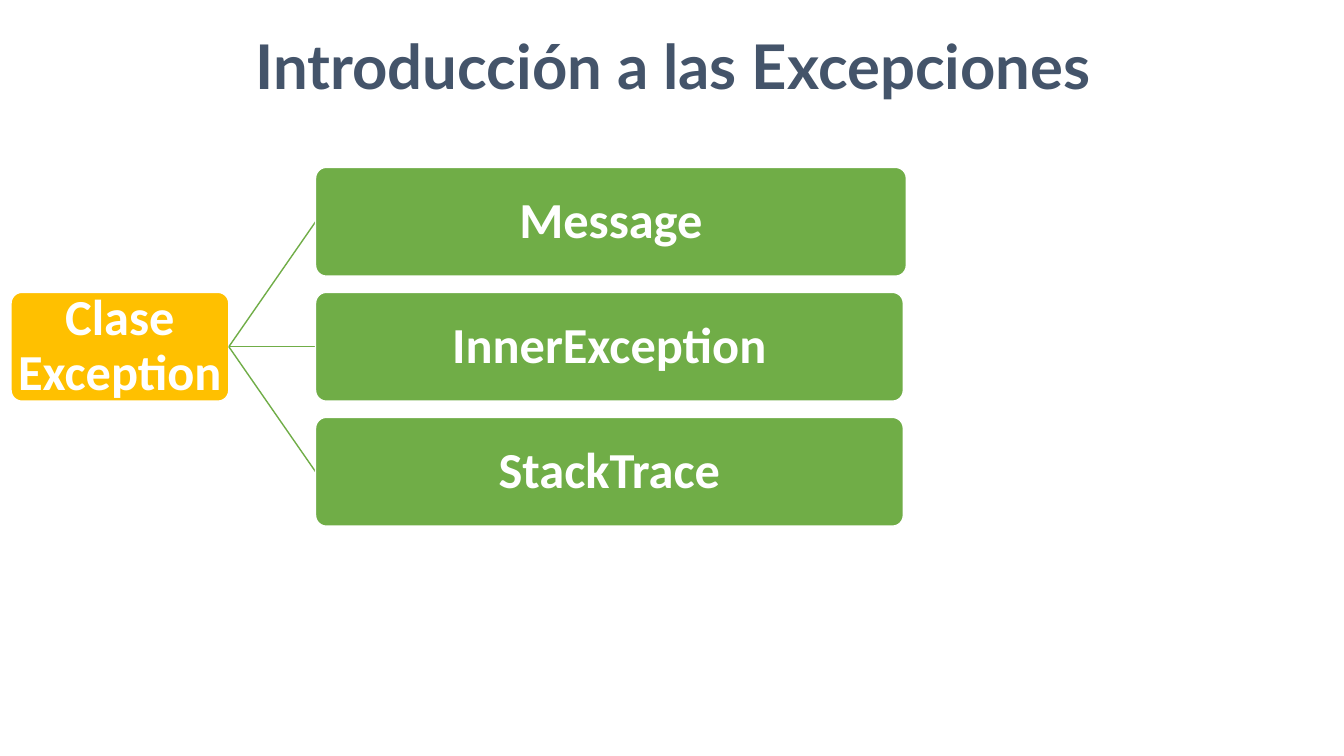
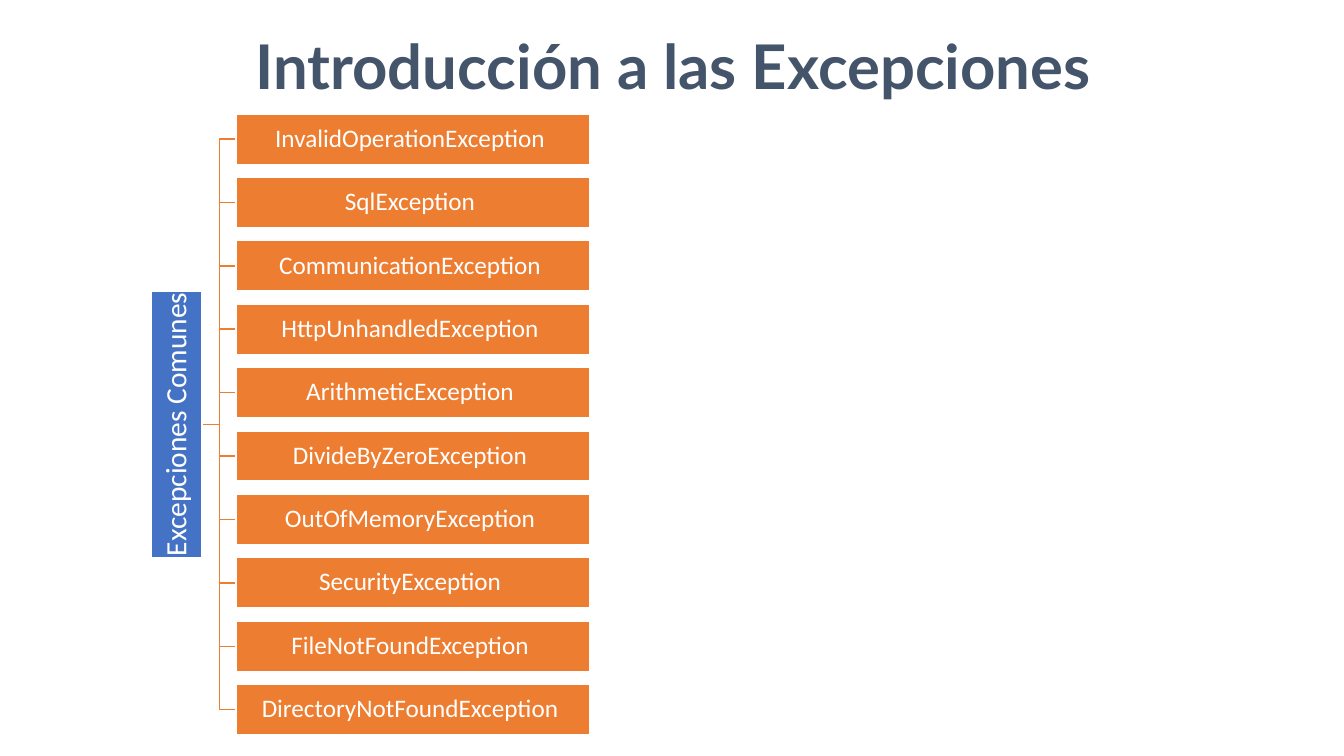
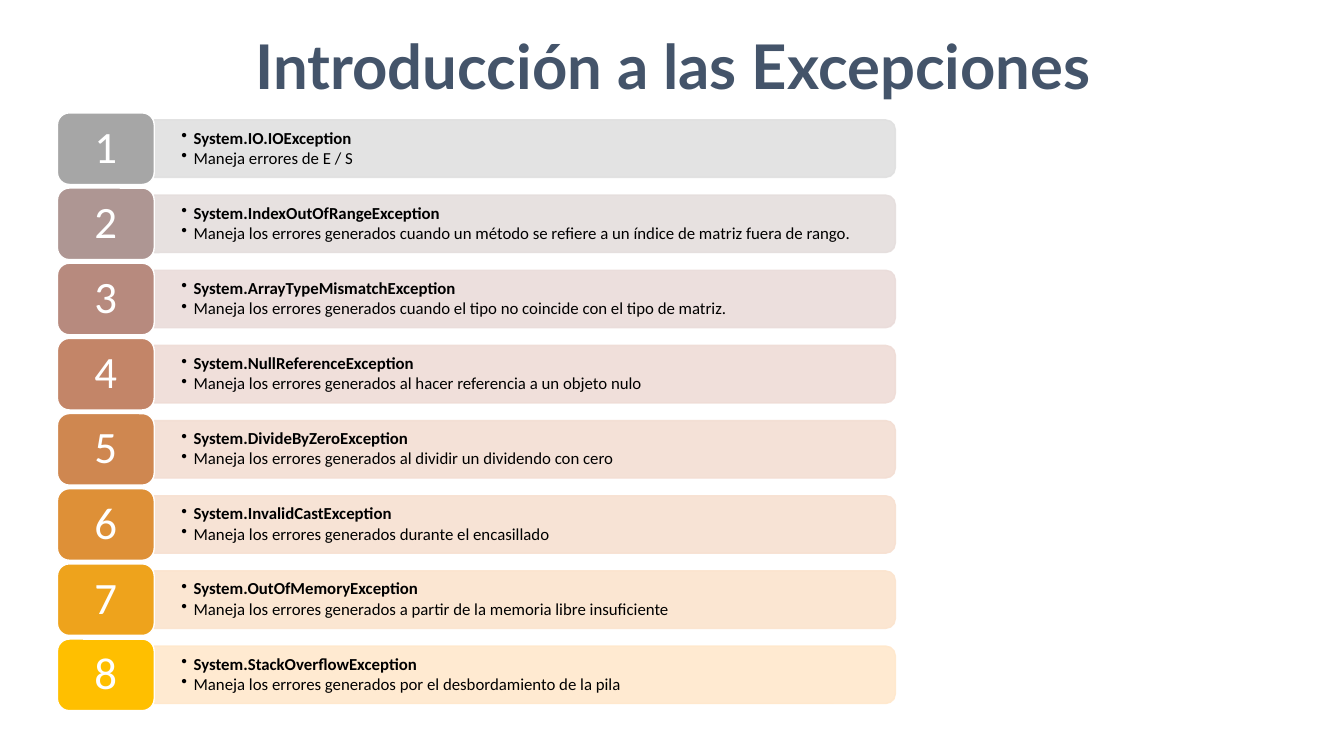
import colorsys

from lxml import etree
from pptx import Presentation
from pptx import util as u
from pptx.dml.color import RGBColor
from pptx.enum import shapes, text
from pptx.oxml import ns

WHITE, NAVY, GOLD, GREEN = "FFFFFF", "44546A", "FFC000", "70AD47"
BLUE, ORANGE, BLACK = "4472C4", "ED7D31", "000000"
BODY_FONT = "Calibri"
SHAPE, LINK = shapes.MSO_SHAPE, shapes.MSO_CONNECTOR


def add_box(slide, kind, place, fill, label="", size=18, bold=False, margin=0.01, edge=WHITE):
    """Filled shape with an optional centred label; place is left, top, width, height."""
    box = slide.shapes.add_shape(kind, *[u.Inches(n) for n in place])
    box.shadow.inherit = False
    box.fill.solid()
    box.fill.fore_color.rgb = RGBColor.from_string(fill)
    box.line.color.rgb = RGBColor.from_string(edge)
    box.line.width = u.Pt(1)
    frame = box.text_frame
    frame.margin_left = frame.margin_right = u.Inches(margin)
    frame.margin_top = frame.margin_bottom = u.Inches(margin)
    frame.vertical_anchor = text.MSO_ANCHOR.MIDDLE
    if label:
        line = frame.paragraphs[0]
        line.text = label
        line.alignment = text.PP_ALIGN.CENTER
        line.line_spacing = 0.9
        line.font.name, line.font.size, line.font.bold = BODY_FONT, u.Pt(size), bold
        line.font.color.rgb = RGBColor.from_string(WHITE)
    return box


def add_link(slide, kind, start, end, colour):
    """Thin line between two (x, y) points."""
    link = slide.shapes.add_connector(kind, *[u.Inches(n) for n in (*start, *end)])
    link.line.color.rgb = RGBColor.from_string(colour)
    link.line.width = u.Pt(1)
    etree.SubElement(link._element.spPr, ns.qn("a:effectLst"))
    return link


prs = Presentation()
prs.slide_width, prs.slide_height = u.Inches(13.33), u.Inches(7.5)

# Shared title: placed on the layout, formatted on each slide
title_only = prs.slide_layouts[5]
heading = title_only.placeholders[0]
heading.left, heading.top = u.Inches(0.13), u.Inches(0.26)
heading.width, heading.height = u.Inches(13.1), u.Inches(0.79)

slides = [prs.slides.add_slide(title_only) for _ in range(3)]
for slide in slides:
    frame = slide.shapes.title.text_frame
    frame.text = "Introducción a las Excepciones"
    frame.margin_left = frame.margin_right = u.Inches(0.05)
    frame.margin_top = frame.margin_bottom = u.Inches(0.02)
    frame.vertical_anchor = text.MSO_ANCHOR.TOP
    frame.auto_size = text.MSO_AUTO_SIZE.NONE
    line = frame.paragraphs[0]
    line.alignment = text.PP_ALIGN.CENTER
    line.font.name, line.font.size, line.font.bold = "Lato", u.Pt(44), True
    line.font.color.rgb = RGBColor.from_string(NAVY)

properties_slide, common_slide, system_slide = slides

# Slide 1: the Exception class and its properties
top, pitch, height, left = 1.66, 1.24, 1.08, 3.13
root_left, root_width = 0.11, 2.16
members = [("Message", 5.86), ("InnerException", 5.83), ("StackTrace", 5.83)]
root = add_box(properties_slide, SHAPE.ROUNDED_RECTANGLE,
               (root_left, top + pitch, root_width, height),
               GOLD, "Clase Exception", 36, True, 0.03)
root.adjustments[0] = 0.1
root_exit = (root_left + root_width, top + pitch + height / 2)
for row, (member, width) in enumerate(members):
    y = top + row * pitch
    add_link(properties_slide, LINK.STRAIGHT, root_exit, (left, y + height / 2), GREEN)
    card = add_box(properties_slide, SHAPE.ROUNDED_RECTANGLE, (left, y, width, height),
                   GREEN, member, 36, True, 0.03)
    card.adjustments[0] = 0.1

# Slide 2: tree of common exceptions
common = ["InvalidOperation", "Sql", "Communication", "HttpUnhandled", "Arithmetic",
          "DivideByZero", "OutOfMemory", "Security", "FileNotFound", "DirectoryNotFound"]
top, last_top, height, left = 1.13, 6.79, 0.5, 2.34
pitch = (last_top - top) / (len(common) - 1)
trunk = (2.01, (top + last_top + height) / 2)
for row, name in enumerate(common):
    y = top + row * pitch
    add_link(common_slide, LINK.ELBOW, trunk, (left, y + height / 2), ORANGE)
    add_box(common_slide, SHAPE.RECTANGLE, (left, y, 3.51, height), ORANGE, f"{name}Exception ")
group = add_box(common_slide, SHAPE.RECTANGLE, (0.43, trunk[1] - height / 2, 2.65, height),
                BLUE, "Excepciones Comunes", 21)
group.rotation = 270

# Slide 3: numbered system exceptions
system = [
    ("IO.IO", "Maneja errores de E / S"),
    ("IndexOutOfRange", "Maneja los errores generados cuando un método se refiere a un "
                        "índice de matriz fuera de rango."),
    ("ArrayTypeMismatch", "Maneja los errores generados cuando el tipo no coincide con el "
                          "tipo de matriz."),
    ("NullReference", "Maneja los errores generados al hacer referencia a un objeto nulo"),
    ("DivideByZero", "Maneja los errores generados al dividir un dividendo con cero"),
    ("InvalidCast", "Maneja los errores generados durante el encasillado"),
    ("OutOfMemory", "Maneja los errores generados a partir de la memoria libre insuficiente"),
    ("StackOverflow", "Maneja los errores generados por el desbordamiento de la pila"),
]
top, last_top = 1.12, 6.34
pitch = (last_top - top) / (len(system) - 1)
tile_left, tile_width, tile_height = 0.57, 0.96, 0.71
band_left, band_width, band_height = tile_left + tile_width, 7.35, 0.57
# Hue in degrees at the last row, lightness at the first and last rows
tile_ramp, band_ramp = (45, 0.65, 0.5), (33.5, 0.88, 0.9)

for row, (name, description) in enumerate(system):
    y = top + row * pitch
    middle = y + tile_height / 2

    # Grey turns into gold as hue and saturation grow down the rows
    share = row / (len(system) - 1)
    tile_colour, band_colour = [
        "".join(f"{round(part * 255):02X}" for part in colorsys.hls_to_rgb(
            hue * share / 360, first + (last - first) * share, share))
        for hue, first, last in (tile_ramp, band_ramp)]

    # Band rounded on its right side, slightly transparent
    band = add_box(system_slide, SHAPE.ROUND_2_SAME_RECTANGLE,
                   (band_left + (band_width - band_height) / 2, middle - band_width / 2,
                    band_height, band_width), band_colour, edge=band_colour)
    band.rotation = 90
    for colour in band._element.spPr.iter(ns.qn("a:srgbClr")):
        etree.SubElement(colour, ns.qn("a:alpha"), val="90000")

    # Name and description
    notes = system_slide.shapes.add_textbox(
        u.Inches(band_left), u.Inches(middle - 0.25), u.Inches(7.32), u.Inches(0.5))
    frame = notes.text_frame
    frame.word_wrap = True
    frame.margin_left = frame.margin_right = u.Inches(0.27)
    frame.margin_top = frame.margin_bottom = 0
    frame.vertical_anchor = text.MSO_ANCHOR.MIDDLE
    frame.text = f"System.{name}Exception\n{description}"
    for line, bold in zip(frame.paragraphs, (True, False)):
        line.line_spacing, line.space_after = 0.9, u.Pt(1.5)
        line.font.name, line.font.size, line.font.bold = BODY_FONT, u.Pt(12), bold
        line.font.color.rgb = RGBColor.from_string(BLACK)
        bullet = line._p.get_or_add_pPr()
        bullet.set("marL", str(u.Inches(0.12)))
        bullet.set("indent", str(-u.Inches(0.12)))
        bullet_char = etree.Element(ns.qn("a:buChar"), char="•")
        bullet.find(ns.qn("a:defRPr")).addprevious(bullet_char)

    add_box(system_slide, SHAPE.ROUNDED_RECTANGLE, (tile_left, y, tile_width, tile_height),
            tile_colour, str(row + 1), 32, margin=0.07)

prs.save("out.pptx")
